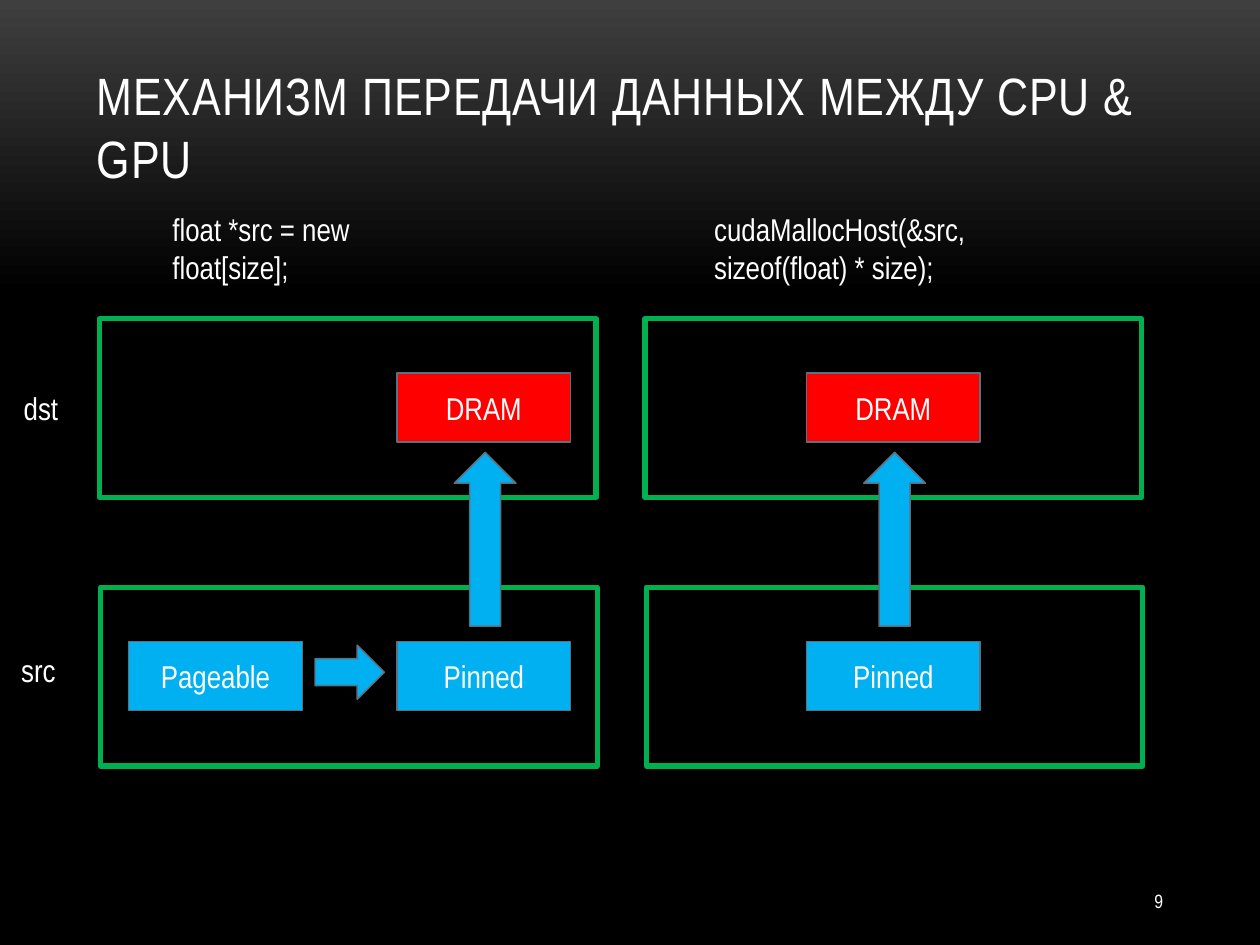
from copy import deepcopy

from pptx import Presentation
from pptx.dml.color import RGBColor
from pptx.enum.shapes import MSO_SHAPE as Shape
from pptx.enum.text import MSO_ANCHOR as Anchor, PP_ALIGN as Align
from pptx.oxml.ns import qn
from pptx.util import Inches, Pt

WHITE = RGBColor(0xFF, 0xFF, 0xFF)
BLACK = RGBColor(0x00, 0x00, 0x00)
GRAY = RGBColor(0x3F, 0x3F, 0x3F)
GREEN = RGBColor(0x00, 0xB0, 0x50)
BLUE = RGBColor(0x00, 0xB0, 0xF0)
RED = RGBColor(0xFF, 0x00, 0x00)
EDGE = RGBColor(0x5D, 0x70, 0x80)
FONT = "Arial Narrow"

BACKGROUND = [(0, GRAY), (0.31, BLACK), (1, BLACK)]
TITLE = "МЕХАНИЗМ ПЕРЕДАЧИ ДАННЫХ МЕЖДУ CPU & GPU"
LABELS = [
    (["float *src = new float[size];"], (1.27, 1.62, 2.58, 0.71)),
    (["cudaMallocHost(&src,", "sizeof(float) * size);"], (5.57, 1.62, 3.29, 0.71)),
    (["dst"], (0.09, 3.04, 0.67, 0.4)),
    (["src"], (0.07, 5.12, 0.67, 0.4)),
]
COLUMNS = [
    {"frame": 0.79, "memory": 3.15},
    {"frame": 5.12, "memory": 6.4},
]
ROWS = [
    {"name": "DRAM", "fill": RED, "top": 2.53, "shift": 0},
    {"name": "Pinned", "fill": BLUE, "top": 4.66, "shift": 0.01},
]
FRAME_SIZE = (3.94, 1.42)
MEMORY_SIZE = (1.38, 0.55)
MEMORY_OFFSET = 0.43
PAGEABLE_LEFT = 1.02
COPY_ARROW = (2.5, 5.12, 0.55, 0.43)
UP_TOP, UP_WIDTH, UP_HEIGHT = 3.59, 0.49, 1.38


def write(box, lines, size=18, align=Align.LEFT, anchor=Anchor.TOP):
    frame = box.text_frame
    frame.word_wrap = True
    frame.vertical_anchor = anchor
    for index, line in enumerate(lines):
        para = frame.add_paragraph() if index else frame.paragraphs[0]
        para.alignment = align
        span = para.add_run()
        span.text = line
        for key, value in {"name": FONT, "size": Pt(size)}.items():
            setattr(span.font, key, value)
        span.font.color.rgb = WHITE
    return frame


def add_text(page, lines, place, **style):
    return write(page.shapes.add_textbox(*map(Inches, place)), lines, **style)


def add_block(page, kind, place, fill=None, line=EDGE, weight=0.85, text=None):
    block = page.shapes.add_shape(kind, *map(Inches, place))
    block.shadow.inherit = False
    if fill is None:
        block.fill.background()
    else:
        block.fill.solid()
        block.fill.fore_color.rgb = fill
    block.line.color.rgb = line
    block.line.width = Pt(weight)
    if text:
        write(block, [text], align=Align.CENTER, anchor=Anchor.MIDDLE)


def paint_background(page):
    fill = page.background.fill
    fill.gradient()
    fill.gradient_angle = 270
    last = list(page.element.iter(qn("a:gs")))[-1]
    last.addnext(deepcopy(last))
    for stop, (position, color) in zip(fill.gradient_stops, BACKGROUND):
        stop.position = position
        stop.color.rgb = color


def add_columns(page):
    width, height = MEMORY_SIZE
    for column in COLUMNS:
        for row in ROWS:
            place = (column["frame"] + row["shift"], row["top"], *FRAME_SIZE)
            add_block(page, Shape.RECTANGLE, place, line=GREEN, weight=3)
        for row in ROWS:
            place = (column["memory"], row["top"] + MEMORY_OFFSET, width, height)
            add_block(page, Shape.RECTANGLE, place, row["fill"], text=row["name"])
        left = column["memory"] + (width - UP_WIDTH) / 2 + 0.01
        add_block(page, Shape.UP_ARROW, (left, UP_TOP, UP_WIDTH, UP_HEIGHT), BLUE)
    pageable = (PAGEABLE_LEFT, ROWS[1]["top"] + MEMORY_OFFSET, width, height)
    add_block(page, Shape.RECTANGLE, pageable, BLUE, text="Pageable")
    add_block(page, Shape.RIGHT_ARROW, COPY_ARROW, BLUE)


def main():
    deck = Presentation()
    deck.slide_width, deck.slide_height = Inches(10), Inches(7.5)
    page = deck.slides.add_slide(deck.slide_layouts[6])
    paint_background(page)
    title = add_text(page, [TITLE], (0.67, 0.3, 8.67, 1.25), size=30, anchor=Anchor.BOTTOM)
    title.paragraphs[0].runs[0].font._element.set("spc", "50")
    add_text(page, ["9"], (8.25, 6.95, 1.08, 0.4), size=11, align=Align.RIGHT, anchor=Anchor.MIDDLE)
    add_columns(page)
    for lines, place in LABELS:
        add_text(page, lines, place)
    deck.save("out.pptx")


if __name__ == "__main__":
    main()
